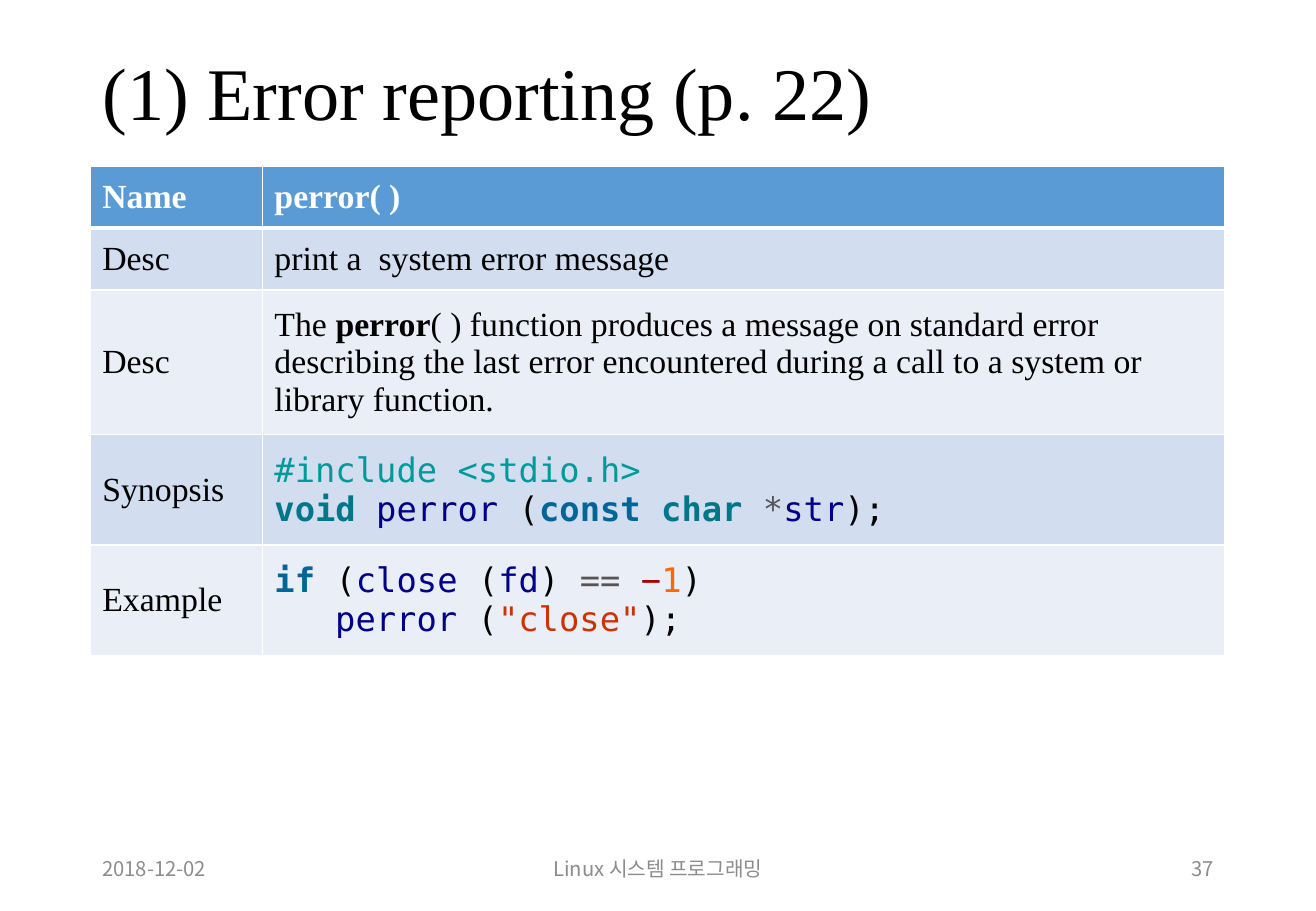
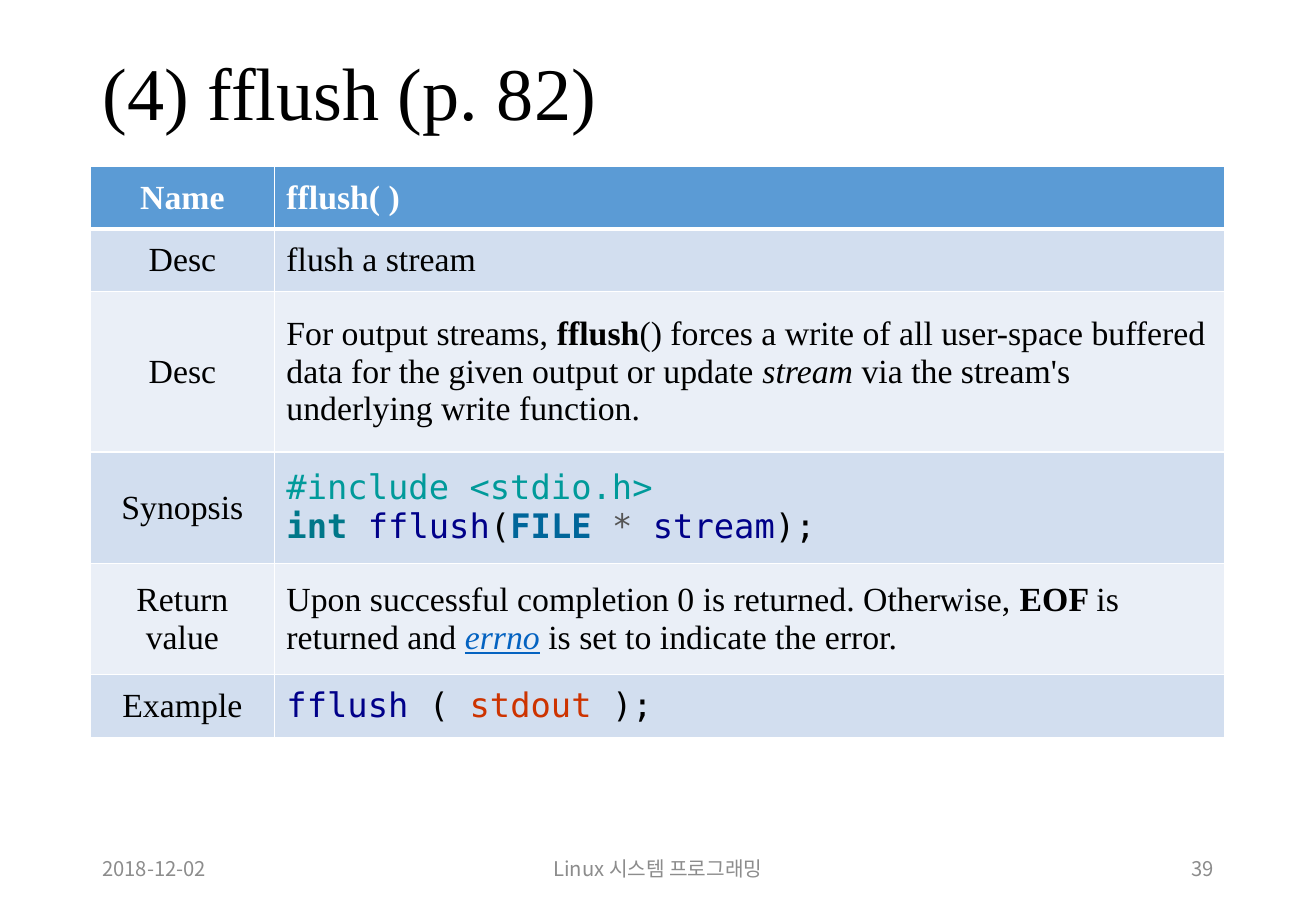
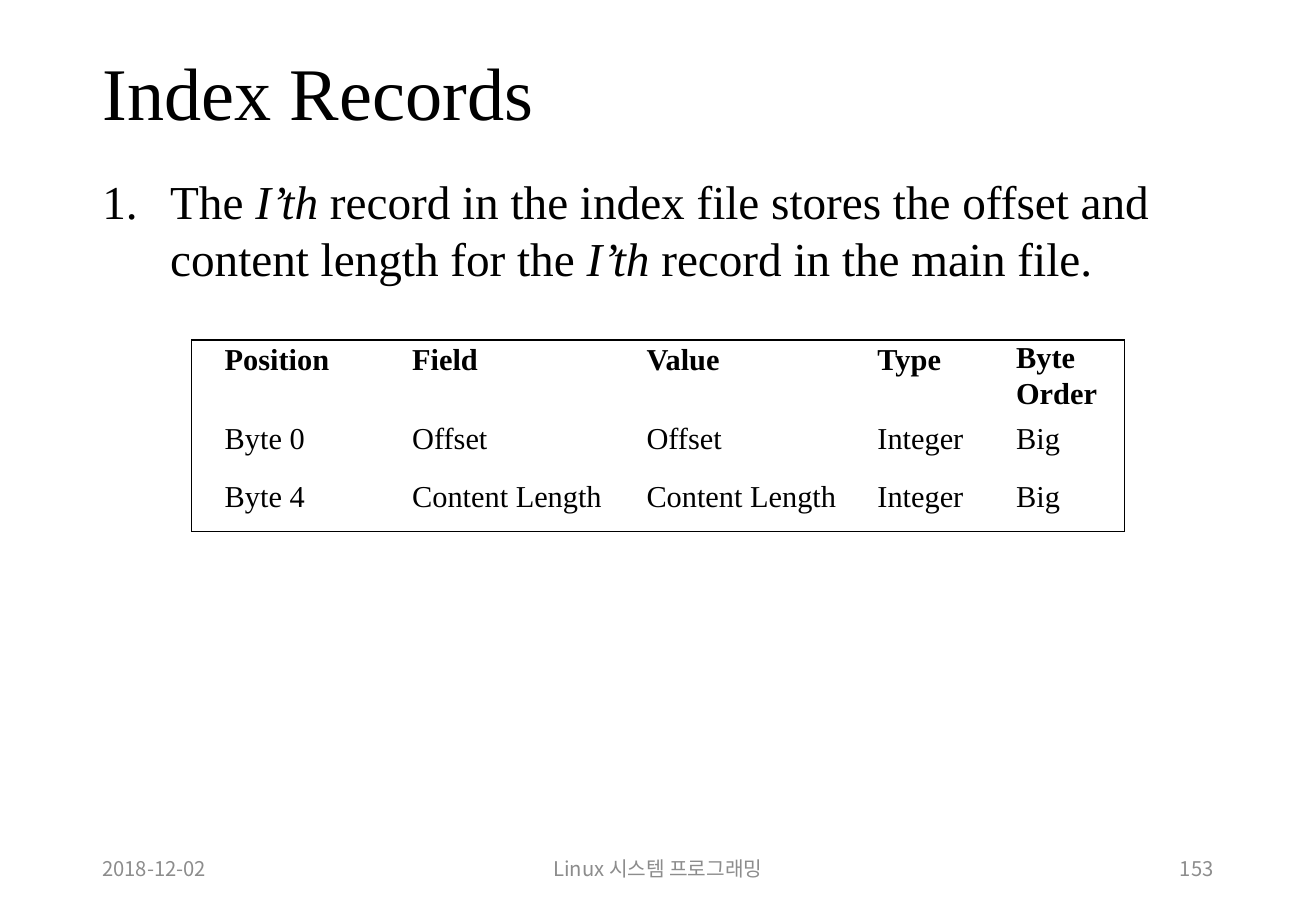
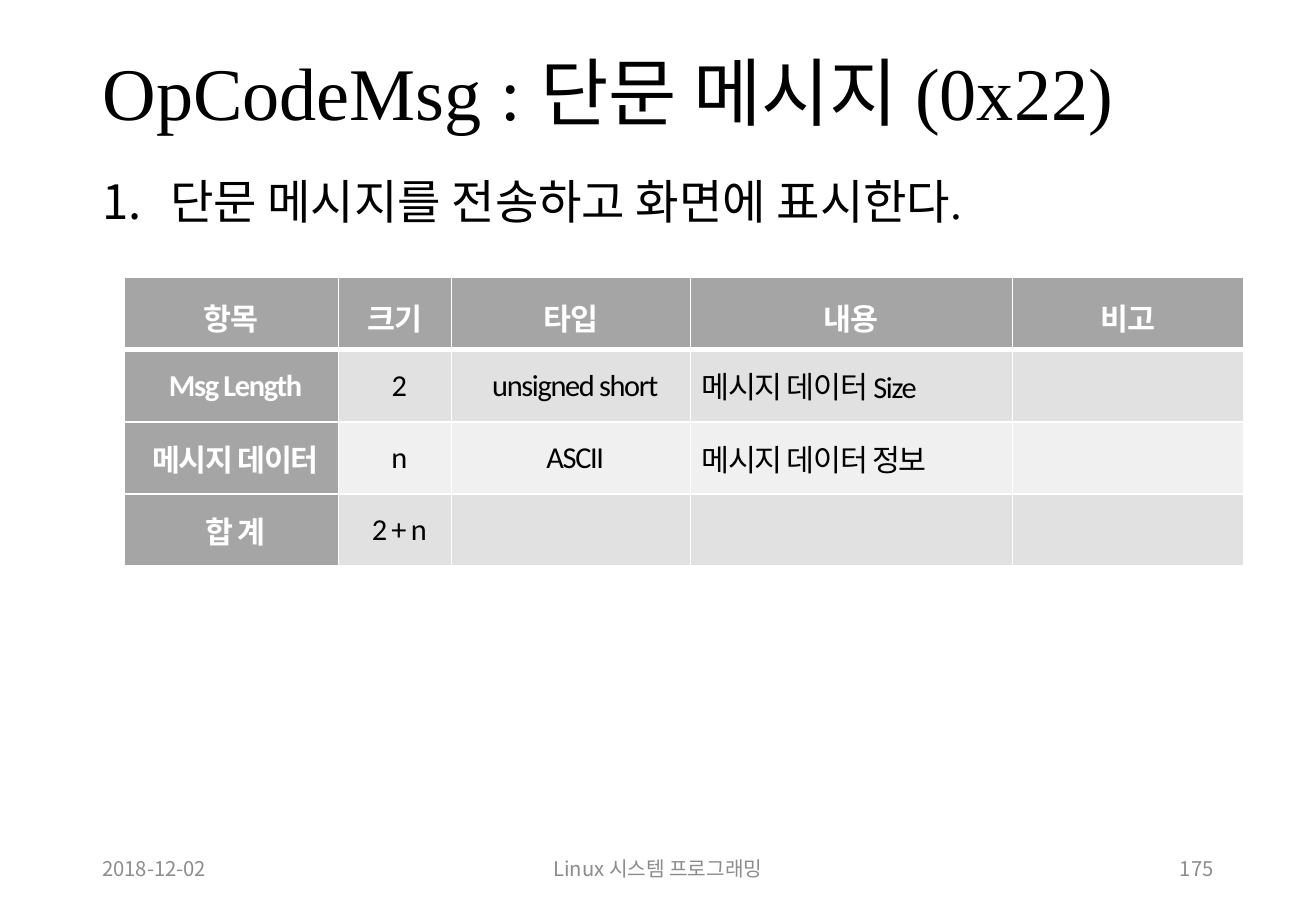
"""Build four lecture slides on system programming with reference tables."""
from dataclasses import dataclass, field
from typing import Any, NamedTuple

from lxml.etree import SubElement
from pptx import Presentation
from pptx.dml.color import RGBColor
from pptx.enum.text import MSO_ANCHOR, MSO_AUTO_SIZE, PP_ALIGN
from pptx.oxml.ns import qn
from pptx.util import Cm, Pt

SERIF, SANS, MONO, KOREAN = "Times New Roman", "Calibri", "DejaVu Sans Mono", "Noto Sans CJK KR"
BLACK, WHITE = "000000", "FFFFFF"
BLUE, BLUE_BANDS = "5B9BD5", ("D2DEEF", "EAEFF7")
GREY, GREY_BANDS = "A5A5A5", ("E1E1E1", "F0F0F0")
LEFT, CENTER, RIGHT = PP_ALIGN.LEFT, PP_ALIGN.CENTER, PP_ALIGN.RIGHT
TOP, MIDDLE = MSO_ANCHOR.TOP, MSO_ANCHOR.MIDDLE

CONTENT_LEFT, CONTENT_TOP, CONTENT_WIDTH = 1.89, 3.48, 23.73
LIST_INDENT = 1.42
DATE, COURSE = "2018-12-02", "Linux 시스템 프로그래밍"

TITLE_FORMAT = {"size": Pt(44), "name": SERIF, "color": BLACK}
LIST_FORMAT = {"size": Pt(28), "name": SERIF, "color": BLACK}
FOOTER_FORMAT = {"size": Pt(12), "name": KOREAN, "color": "8C8C8C"}
REFERENCE_FORMAT = {"size": Pt(20), "name": SERIF, "color": BLACK}
RECORD_FORMAT = {"size": Pt(18), "name": SERIF, "color": BLACK}
MESSAGE_FORMAT = {"size": Pt(18), "name": SANS, "color": BLACK, "spacing": -0.8}
HEADING_FORMAT = {"color": WHITE, "bold": True}

CODE_COLORS = {"directive": "009A9A", "type": "007789", "name": "000089", "punctuation": BLACK,
               "keyword": "00669A", "operator": "555555", "sign": "AB0000", "number": "FF6600",
               "string": "CD3300"}
STYLES: dict[str, dict[str, Any]] = {
    "plain": {},
    "strong": {"bold": True},
    "term": {"italic": True},
    "link": {"italic": True, "underline": True, "color": "0563C1"},
} | {role: {"name": MONO, "color": color, "bold": role in ("type", "keyword")}
     for role, color in CODE_COLORS.items()}


class Run(NamedTuple):
    """A piece of text and the name of its style."""
    text: str
    style: str = "plain"


class Line(NamedTuple):
    """A paragraph of runs with its left indent in centimetres."""
    runs: tuple[Run, ...]
    indent: float = 0


class Box(NamedTuple):
    """A place on the slide in centimetres."""
    left: float
    top: float
    width: float
    height: float


class FooterPart(NamedTuple):
    """A horizontal place and alignment in the footer."""
    left: float
    width: float
    align: PP_ALIGN


@dataclass
class Cell:
    """The text and look of one table cell."""
    lines: tuple[Line, ...]
    format: dict[str, Any]
    fill: str | None = None
    align: PP_ALIGN = LEFT
    anchor: MSO_ANCHOR = MIDDLE
    margins: tuple[float, float, float, float] = (0.25, 0.13, 0.25, 0.13)
    line_spacing: Any = 1.0
    edges: dict[str, tuple[str, float]] = field(default_factory=dict)


@dataclass
class Reference:
    """A manual entry for one function."""
    title: str
    page: int
    columns: tuple[float, float]
    heights: tuple[float, ...]
    label_align: PP_ALIGN
    rows: tuple[tuple[str, tuple[Line, ...]], ...]


FOOTER = (FooterPart(CONTENT_LEFT, 3.23, LEFT), FooterPart(9.11, 9.3, CENTER),
          FooterPart(24.28, 1.35, RIGHT))


def line(*parts: str | tuple[str, str], indent: float = 0) -> Line:
    """Make a line of plain strings and (text, style) pairs."""
    return Line(tuple(Run(part) if isinstance(part, str) else Run(*part) for part in parts), indent)


INCLUDE = line(("#include <stdio.h>", "directive"))
REFERENCES = (
    Reference("(1) Error reporting (p. 22)", 37, (3.6, 20.13), (1.29, 1.29, 3.03, 2.31, 2.31), LEFT, (
        ("Name", (line("perror( )"),)),
        ("Desc", (line("print a  system error message"),)),
        ("Desc", (line("The ", ("perror", "strong"),
                       "( ) function produces a message on standard error describing the last "
                       "error encountered during a call to a system or library function."),)),
        ("Synopsis", (INCLUDE, line(
            ("void ", "type"), ("perror ", "name"), ("(", "punctuation"), ("const ", "keyword"),
            ("char ", "type"), ("*", "operator"), ("str", "name"), (");", "punctuation")))),
        ("Example", (
            line(("if ", "keyword"), ("(", "punctuation"), ("close ", "name"), ("(", "punctuation"),
                 ("fd", "name"), (") ", "punctuation"), ("== ", "operator"), ("−", "sign"),
                 ("1", "number"), (")", "punctuation")),
            line(("perror ", "name"), ("(", "punctuation"), ('"close"', "string"),
                 (");", "punctuation"), indent=1.27))),
    )),
    Reference("(4) fflush (p. 82)", 39, (3.85, 19.88), (1.31, 1.31, 3.35, 2.33, 2.33, 1.31), CENTER, (
        ("Name", (line("fflush( )"),)),
        ("Desc", (line("flush a stream"),)),
        ("Desc", (line("For output streams, ", ("fflush", "strong"),
                       "() forces a write of all user-space buffered data for the given output "
                       "or update ", ("stream", "term"),
                       " via the stream's underlying write function."),)),
        ("Synopsis", (INCLUDE, line(
            ("int ", "type"), ("fflush", "name"), ("(", "punctuation"), ("FILE ", "keyword"),
            ("* ", "operator"), ("stream", "name"), (");", "punctuation")))),
        ("Return value", (line("Upon successful completion 0 is returned. Otherwise, ",
                               ("EOF ", "strong"), "is returned and ", ("errno", "link"),
                               " is set to indicate the error."),)),
        ("Example", (line(("fflush ", "name"), ("(", "punctuation"), (" stdout ", "string"),
                          (");", "punctuation")),)),
    )),
)

RECORD_STATEMENT = line("The ", ("I’th ", "term"),
                        "record in the index file stores the offset and content length for the ",
                        ("I’th ", "term"), "record in the main file.")
RECORDS = (
    ("Position", "Field", "Value", "Type", "Byte Order"),
    ("Byte 0", "Offset", "Offset", "Integer", "Big"),
    ("Byte 4", "Content Length", "Content Length", "Integer", "Big"),
)
RECORD_INDENTS = (0.69, 0.69, 0.51, 0.51, 0.46)

MESSAGES = (
    ("항목", "크기", "타입", "내용", "비고"),
    ("Msg Length", "2", "unsigned short", "메시지 데이터 Size", ""),
    ("메시지 데이터", "n", "ASCII", "메시지 데이터 정보", ""),
    ("합 계", "2 + n", "", "", ""),
)


def rgb(color: str) -> RGBColor:
    """Turn a hex string into a colour."""
    return RGBColor.from_string(color)


def format_run(run: Any, values: dict[str, Any]) -> None:
    """Apply format values to a run."""
    properties = run._r.get_or_add_rPr()
    for name, value in values.items():
        if name == "color":
            run.font.color.rgb = rgb(value)
        elif name == "spacing":
            properties.set("spc", str(round(value * 100)))
        else:
            setattr(run.font, name, value)
    SubElement(properties, qn("a:ea")).set("typeface", KOREAN)


def write_lines(frame: Any, lines: tuple[Line, ...], values: dict[str, Any],
                align: PP_ALIGN = LEFT, line_spacing: Any = 1.0) -> None:
    """Fill a text frame with formatted lines."""
    for index, content in enumerate(lines):
        paragraph = frame.paragraphs[0] if index == 0 else frame.add_paragraph()
        paragraph.alignment = align
        paragraph.line_spacing = line_spacing
        if content.indent:
            paragraph._p.get_or_add_pPr().set("marL", str(Cm(content.indent)))
        for part in content.runs:
            run = paragraph.add_run()
            run.text = part.text
            format_run(run, values | STYLES[part.style])


def place(shape: Any, box: Box) -> None:
    """Move and size a shape."""
    for name, value in box._asdict().items():
        setattr(shape, name, Cm(value))


def set_frame(frame: Any, anchor: MSO_ANCHOR) -> None:
    """Wrap the text of a frame and anchor it."""
    for name, value in {"word_wrap": True, "auto_size": MSO_AUTO_SIZE.NONE,
                        "vertical_anchor": anchor}.items():
        setattr(frame, name, value)


def add_text(slide: Any, box: Box, content: Line, values: dict[str, Any],
             align: PP_ALIGN = LEFT, anchor: MSO_ANCHOR = MIDDLE) -> Any:
    """Add a text box with one line and return its frame."""
    frame = slide.shapes.add_textbox(*map(Cm, box)).text_frame
    set_frame(frame, anchor)
    write_lines(frame, (content,), values, align)
    return frame


def add_titled_slide(deck: Any, title: str, page: int) -> Any:
    """Add a slide with its title and footer."""
    slide = deck.slides.add_slide(deck.slide_layouts[5])
    heading = slide.shapes.title
    place(heading, Box(CONTENT_LEFT, 1.02, CONTENT_WIDTH, 2.01))
    set_frame(heading.text_frame, MIDDLE)
    write_lines(heading.text_frame, (line(title),), TITLE_FORMAT, line_spacing=0.9)
    for part, text in zip(FOOTER, (DATE, COURSE, str(page))):
        add_text(slide, Box(part.left, 17.65, part.width, 1.02), line(text), FOOTER_FORMAT, part.align)
    return slide


def add_numbered_statement(slide: Any, statement: Line, height: float) -> None:
    """Add a numbered statement under the title."""
    box = Box(CONTENT_LEFT, CONTENT_TOP, CONTENT_WIDTH, height)
    frame = add_text(slide, box, statement, LIST_FORMAT, anchor=TOP)
    properties = frame.paragraphs[0]._p.get_or_add_pPr()
    properties.set("marL", str(Cm(LIST_INDENT)))
    properties.set("indent", str(-Cm(LIST_INDENT)))
    SubElement(properties, qn("a:buAutoNum")).set("type", "arabicPeriod")


def draw_edges(target: Any, edges: dict[str, tuple[str, float]]) -> None:
    """Draw the given borders of a table cell and clear the others."""
    properties = target._tc.get_or_add_tcPr()
    for side in "LRTB":
        border = SubElement(properties, qn(f"a:ln{side}"))
        if side not in edges:
            SubElement(border, qn("a:noFill"))
            continue
        color, width = edges[side]
        border.set("w", str(Pt(width)))
        SubElement(SubElement(border, qn("a:solidFill")), qn("a:srgbClr")).set("val", color)


def draw_cell(target: Any, cell: Cell) -> None:
    """Give a table cell its borders, fill and text."""
    draw_edges(target, cell.edges)
    if cell.fill:
        target.fill.solid()
        target.fill.fore_color.rgb = rgb(cell.fill)
    else:
        target.fill.background()
    target.vertical_anchor = cell.anchor
    for side, margin in zip(("left", "top", "right", "bottom"), cell.margins):
        setattr(target, f"margin_{side}", Cm(margin))
    write_lines(target.text_frame, cell.lines, cell.format, cell.align, cell.line_spacing)


def add_grid(slide: Any, left: float, top: float, columns: tuple[float, ...],
             heights: tuple[float, ...], cells: list[list[Cell]]) -> None:
    """Add a table of cells."""
    box = Box(left, top, sum(columns), sum(heights))
    table = slide.shapes.add_table(len(heights), len(columns), *map(Cm, box)).table
    table.first_row = table.horz_banding = False
    for column, width in zip(table.columns, columns):
        column.width = Cm(width)
    for row, height, contents in zip(table.rows, heights, cells):
        row.height = Cm(height)
        for target, cell in zip(row.cells, contents):
            draw_cell(target, cell)


def band_edges(row: int) -> dict[str, tuple[str, float]]:
    """Return white borders with a thick rule under the heading row."""
    return {"L": (WHITE, 1), "R": (WHITE, 1), "T": (WHITE, 3 if row == 1 else 1),
            "B": (WHITE, 3 if row == 0 else 1)}


def outline_edges(row: int, column: int) -> dict[str, tuple[str, float]]:
    """Return black borders on the outside of the record table."""
    outer = {"L": column == 0, "R": column == len(RECORDS[0]) - 1,
             "T": row == 0, "B": row == len(RECORDS) - 1}
    return {side: (BLACK, 1) for side, shown in outer.items() if shown}


def reference_cell(row: int, lines: tuple[Line, ...], align: PP_ALIGN) -> Cell:
    """Make a cell of a function reference."""
    heading = row == 0
    return Cell(lines, REFERENCE_FORMAT | (HEADING_FORMAT if heading else {}),
                BLUE if heading else BLUE_BANDS[(row - 1) % 2], align, edges=band_edges(row))


def record_cell(row: int, column: int) -> Cell:
    """Make a cell of the index record table."""
    heading = row == 0
    wrapped = heading and column == len(RECORDS[0]) - 1
    top = 0.39 if heading and not wrapped else 0
    return Cell((line(RECORDS[row][column]),), RECORD_FORMAT | {"bold": heading}, anchor=TOP,
                margins=(RECORD_INDENTS[column], top, 0, 0),
                line_spacing=1.05 if wrapped else Pt(11), edges=outline_edges(row, column))


def message_cell(row: int, column: int) -> Cell:
    """Make a cell of the message layout table."""
    text, heading = MESSAGES[row][column], row == 0
    label = heading or column == 0
    values = MESSAGE_FORMAT | (HEADING_FORMAT if label else {}) | ({"spacing": -0.5} if heading else {})
    return Cell((line(text),) if text else (), values,
                GREY if label else GREY_BANDS[(row - 1) % 2],
                LEFT if column == 3 and not heading else CENTER,
                margins=(0.05 if heading else 0.23, 0.05, 0.05, 0.05),
                line_spacing=1.16 if heading else 1.0, edges=band_edges(row))


def add_reference_slide(deck: Any, reference: Reference) -> None:
    """Add a slide that documents one function."""
    slide = add_titled_slide(deck, reference.title, reference.page)
    cells = [[reference_cell(row, (line(label),), reference.label_align),
              reference_cell(row, lines, LEFT)]
             for row, (label, lines) in enumerate(reference.rows)]
    add_grid(slide, CONTENT_LEFT, CONTENT_TOP, reference.columns, reference.heights, cells)


def add_record_slide(deck: Any) -> None:
    """Add the slide on index records."""
    slide = add_titled_slide(deck, "Index Records", 153)
    add_numbered_statement(slide, RECORD_STATEMENT, 2.64)
    cells = [[record_cell(row, column) for column in range(len(RECORDS[0]))]
             for row in range(len(RECORDS))]
    add_grid(slide, 4.01, 7.11, (3.92, 5.08, 4.83, 2.95, 2.72), (2.03, 1.22, 0.76), cells)


def add_message_slide(deck: Any) -> None:
    """Add the slide on the short message layout."""
    slide = add_titled_slide(deck, "OpCodeMsg : 단문 메시지 (0x22)", 175)
    add_numbered_statement(slide, line("단문 메시지를 전송하고 화면에 표시한다."), 1.9)
    cells = [[message_cell(row, column) for column in range(len(MESSAGES[0]))]
             for row in range(len(MESSAGES))]
    add_grid(slide, 2.59, 5.8, (4.49, 2.36, 5, 6.73, 4.84), (1.51,) * len(MESSAGES), cells)


def main() -> None:
    """Build and save the deck."""
    deck = Presentation()
    deck.slide_width, deck.slide_height = Cm(27.52), Cm(19.05)
    for reference in REFERENCES:
        add_reference_slide(deck, reference)
    add_record_slide(deck)
    add_message_slide(deck)
    deck.save("out.pptx")


if __name__ == "__main__":
    main()
